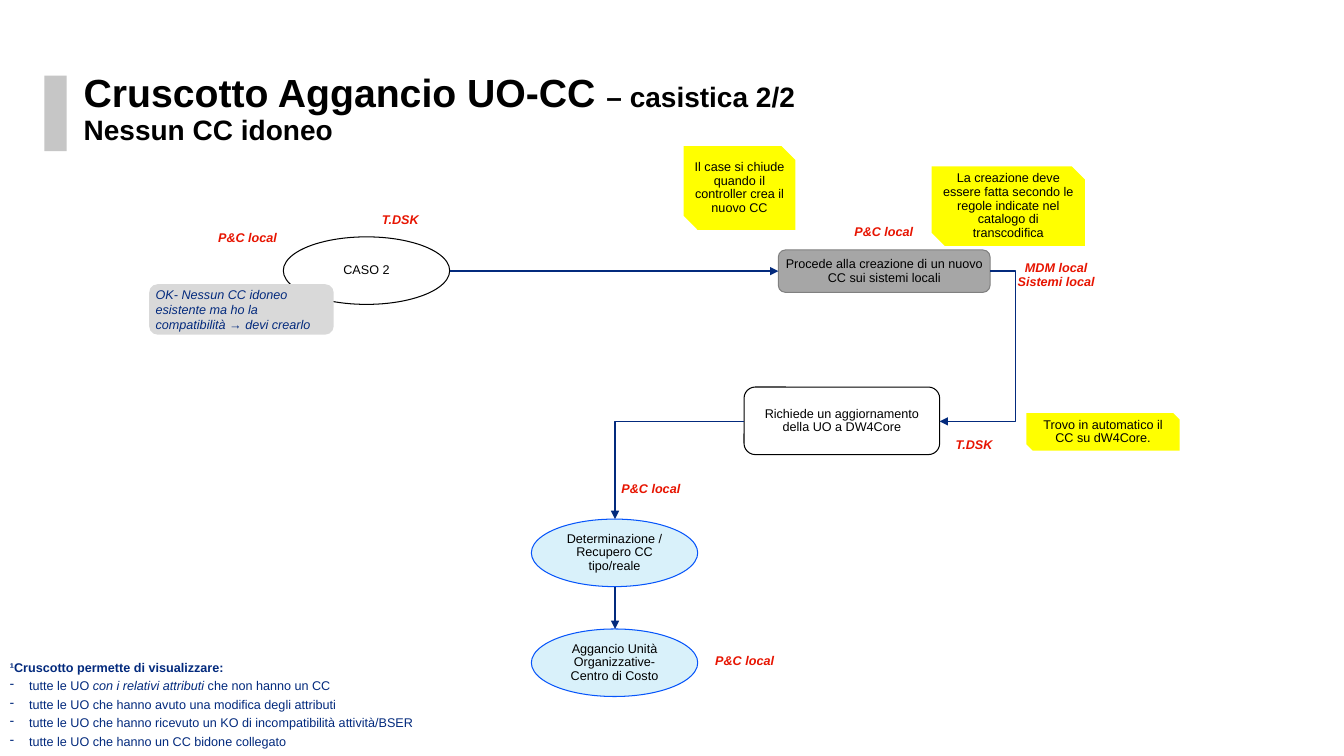
from pptx import Presentation
from pptx.dml.color import RGBColor
from pptx.enum.shapes import MSO_CONNECTOR as Link, MSO_SHAPE as Shape
from pptx.enum.text import MSO_ANCHOR as Anchor, MSO_AUTO_SIZE as AutoSize, PP_ALIGN as Align
from pptx.oxml.ns import qn
from pptx.util import Inches, Pt
from lxml import etree

BLACK, NAVY, RED = "000000", "032A7D", "E71401"
BLUE, PALE_BLUE, YELLOW = "0655FA", "D9F1FA", "FFFF00"


def rgb(color):
    return RGBColor.from_string(color)


class FlowSlide:
    font_name = "Arial"
    body_size = 9
    line_spacing = 0.9

    def __init__(self, slide):
        self.slide = slide

    def style(self, paragraph, size=body_size, color=BLACK, bold=None, italic=None,
              align=Align.LEFT, spacing=line_spacing):
        paragraph.alignment = align
        paragraph.line_spacing = spacing
        font = paragraph.font
        font.name, font.size = self.font_name, Pt(size)
        font.bold, font.italic = bold, italic
        font.color.rgb = rgb(color)

    def box(self, kind, place, text="", fill=None, line=None, **style):
        shape = self.slide.shapes.add_shape(kind, *map(Inches, place))
        shape.shadow.inherit = False
        if fill:
            shape.fill.solid()
            shape.fill.fore_color.rgb = rgb(fill)
        else:
            shape.fill.background()
        if line:
            shape.line.color.rgb = rgb(line)
            shape.line.width = Pt(0.75)
        else:
            shape.line.fill.background()
        if text:
            frame = shape.text_frame
            frame.word_wrap = True
            frame.vertical_anchor = Anchor.MIDDLE
            frame.margin_left = frame.margin_right = Inches(0.04)
            frame.margin_top = frame.margin_bottom = Inches(0.04)
            frame.text = text
            self.style(frame.paragraphs[0], **{"align": Align.CENTER, **style})
        return shape

    def text_frame(self, place, wrap=True):
        frame = self.slide.shapes.add_textbox(*map(Inches, place)).text_frame
        frame.word_wrap = wrap
        return frame

    def label(self, text, left, top, width=0.79, height=0.24):
        """Red system name beside a step; each line is a paragraph."""
        frame = self.text_frame((left, top, width, height), wrap=False)
        frame.auto_size = AutoSize.SHAPE_TO_FIT_TEXT
        frame.text = text
        for paragraph in frame.paragraphs:
            self.style(paragraph, color=RED, bold=True, italic=True, align=Align.CENTER)

    def title(self, place, heading, suffix, subtitle):
        frame = self.text_frame(place)
        frame.margin_left = frame.margin_right = 0
        frame.margin_top = frame.margin_bottom = 0
        first, second = frame.paragraphs[0], frame.add_paragraph()
        first.add_run().text = heading
        first.add_run().text = suffix
        second.text = subtitle
        for paragraph in (first, second):
            self.style(paragraph, size=20, bold=True)
        first.runs[0].font.size = Pt(28)

    def legend(self, place, heading, items):
        """Bold heading and dashed items; each item is a list of (text, italic)."""
        frame = self.text_frame(place)
        frame.text = heading
        self.style(frame.paragraphs[0], color=NAVY, bold=True)
        for item in items:
            paragraph = frame.add_paragraph()
            properties = paragraph._p.get_or_add_pPr()
            properties.set("marL", str(Inches(0.19)))
            properties.set("indent", str(-Inches(0.19)))
            etree.SubElement(properties, qn("a:buChar")).set("char", "-")
            for text, italic in item:
                run = paragraph.add_run()
                run.text = text
                if italic:
                    run.font.italic = True
            self.style(paragraph, color=NAVY)
        for paragraph in frame.paragraphs:
            paragraph.space_after = Pt(3.5)

    def arrow(self, start, end, kind=Link.STRAIGHT, preset=None, bend=None, target=None):
        """Arrow from start to end; target is joined at its left side."""
        connector = self.slide.shapes.add_connector(kind, *map(Inches, start + end))
        if target is not None:
            connector.end_connect(target, 1)
        connector.line.color.rgb = rgb(NAVY)
        connector.line.width = Pt(1)
        properties = connector._element.spPr
        etree.SubElement(properties.find(qn("a:ln")), qn("a:tailEnd")).set("type", "triangle")
        etree.SubElement(properties, qn("a:effectLst"))
        geometry = properties.find(qn("a:prstGeom"))
        if preset:
            geometry.set("prst", preset)
        if bend is not None:
            guide = etree.SubElement(geometry.find(qn("a:avLst")), qn("a:gd"))
            guide.set("name", "adj1")
            guide.set("fmla", f"val {round(bend * 100000)}")


def main():
    presentation = Presentation()
    presentation.slide_width, presentation.slide_height = Inches(13.33), Inches(7.5)
    flow = FlowSlide(presentation.slides.add_slide(presentation.slide_layouts[6]))

    flow.box(Shape.RECTANGLE, (0.44, 0.75, 0.22, 0.75), fill="C6C6C6")
    flow.title((0.83, 0.73, 11.26, 0.43), "Cruscotto Aggancio UO-CC ",
               "– casistica 2/2", "Nessun CC idoneo")

    flow.box(Shape.OVAL, (2.81, 2.35, 1.65, 0.67), "CASO 2", line=BLACK)
    creation = flow.box(Shape.ROUNDED_RECTANGLE, (7.72, 2.48, 2.1, 0.42),
                        "Procede alla creazione di un nuovo CC sui sistemi locali",
                        fill="A6A6A6", line="808080")
    flow.box(Shape.ROUNDED_RECTANGLE, (7.38, 3.84, 1.94, 0.67),
             "Richiede un aggiornamento della UO a DW4Core", line=BLACK)
    for top, text in ((5.15, "Determinazione / Recupero CC tipo/reale"),
                      (6.24, "Aggancio Unità Organizzative- Centro di Costo")):
        flow.box(Shape.OVAL, (5.27, top, 1.65, 0.67), text, fill=PALE_BLUE, line=BLUE)
    flow.box(Shape.ROUNDED_RECTANGLE, (1.48, 2.82, 1.83, 0.5),
             "OK- Nessun CC idoneo esistente ma ho la compatibilità → devi crearlo",
             fill="D9D9D9", color=NAVY, italic=True, align=Align.LEFT, spacing=1.0)

    notes = (
        ((6.78, 1.45, 1.11, 0.83), "Il case si chiude quando il controller crea il nuovo CC"),
        ((9.24, 1.65, 1.52, 0.79), "La creazione deve essere fatta secondo le regole "
                                   "indicate nel catalogo di transcodifica"),
        ((10.18, 4.1, 1.52, 0.37), "Trovo in automatico il CC su dW4Core."),
    )
    for place, text in notes:
        flow.box(Shape.SNIP_2_DIAG_RECTANGLE, place, text, fill=YELLOW)

    flow.arrow((4.46, 2.69), (7.72, 2.69), target=creation)
    flow.arrow((9.82, 2.69), (9.32, 4.18), Link.ELBOW, bend=-0.5)
    flow.arrow((7.38, 4.18), (6.1, 5.15), Link.ELBOW, preset="bentConnector2")
    flow.arrow((6.1, 5.82), (6.1, 6.24))

    for left, top in ((2.06, 2.25), (8.37, 2.19), (6.06, 4.74), (6.99, 6.44)):
        flow.label("P&C local", left, top)
    for left, top in ((3.14, 2.07), (8.83, 4.3)):
        flow.label("T.DSK", left, top, width=1.66)
    flow.label("MDM local\nSistemi local", 9.99, 2.55, 0.97, 0.37)

    flow.legend((0, 6.51, 9.82, 0.99), "¹Cruscotto permette di visualizzare:", (
        [("tutte le UO ", False), ("con i relativi attributi", True),
         (" che non hanno un CC", False)],
        [("tutte le UO che hanno avuto una modifica degli attributi", False)],
        [("tutte le UO che hanno ricevuto un KO di incompatibilità attività/BSER", False)],
        [("tutte le UO che hanno un CC bidone collegato", False)],
    ))
    presentation.save("out.pptx")


if __name__ == "__main__":
    main()
